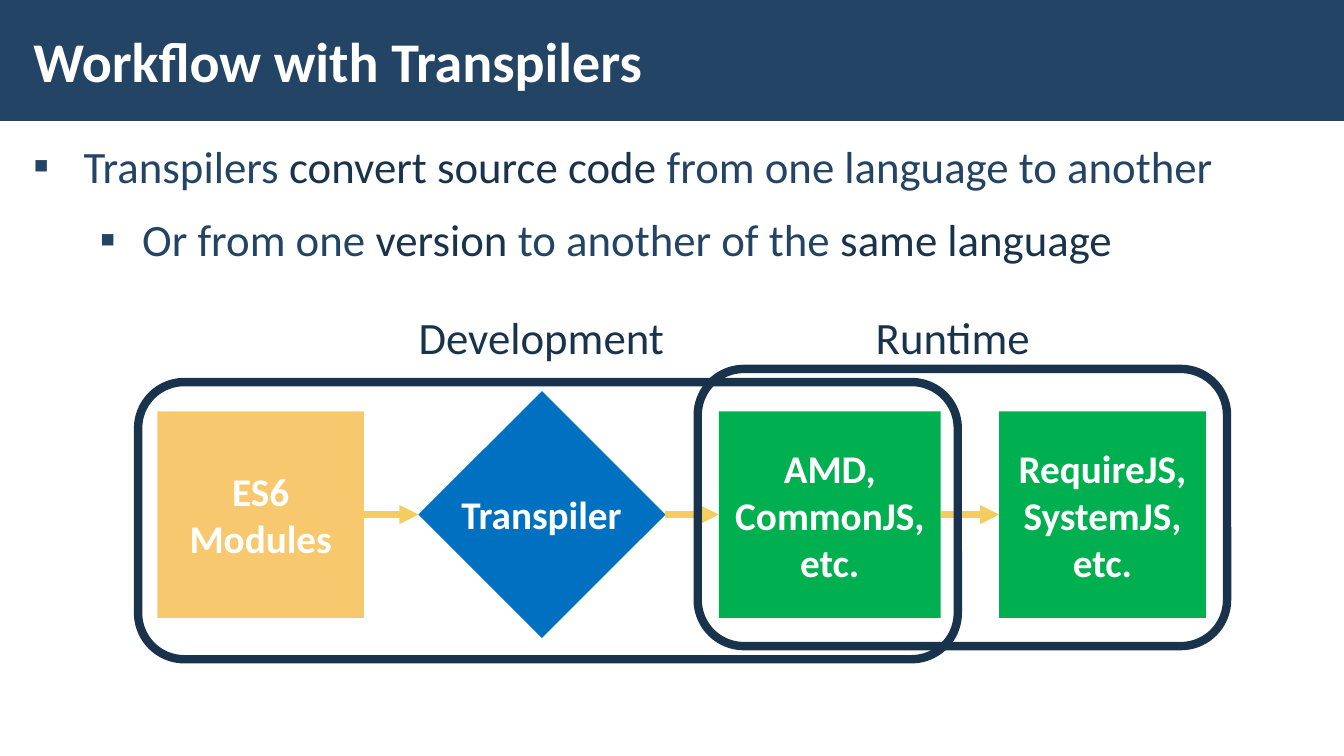
"""Build the slide on the workflow with transpilers."""
from lxml import etree
from pptx import Presentation
from pptx.dml.color import RGBColor
from pptx.enum.shapes import MSO_CONNECTOR, MSO_SHAPE
from pptx.enum.text import MSO_ANCHOR, PP_ALIGN
from pptx.oxml.ns import qn
from pptx.util import Inches, Pt

RECT, DIAMOND, ROUND = MSO_SHAPE.RECTANGLE, MSO_SHAPE.DIAMOND, MSO_SHAPE.ROUNDED_RECTANGLE
STRAIGHT = MSO_CONNECTOR.STRAIGHT
MIDDLE, TOP = MSO_ANCHOR.MIDDLE, MSO_ANCHOR.TOP
LEFT, CENTER = PP_ALIGN.LEFT, PP_ALIGN.CENTER
NAVY = RGBColor(0x23, 0x44, 0x65)
DARK = RGBColor(0x1A, 0x33, 0x4C)
WHITE = RGBColor(0xFF, 0xFF, 0xFF)
SAND = RGBColor(0xF7, 0xC8, 0x6D)
GREEN = RGBColor(0x00, 0xB0, 0x50)
BLUE = RGBColor(0x00, 0x70, 0xC0)
GOLD = RGBColor(0xF3, 0xCD, 0x60)


def write(frame, lines, size=28, bold=True, align=CENTER, anchor=MIDDLE, side=0.1, edge=0.05):
    """Fill a frame with lines, each a list of (text, colour) runs."""
    frame.word_wrap = True
    frame.vertical_anchor = anchor
    frame.margin_left = frame.margin_right = Inches(side)
    frame.margin_top = frame.margin_bottom = Inches(edge)
    for i, runs in enumerate(lines):
        para = frame.paragraphs[0] if i == 0 else frame.add_paragraph()
        para.alignment = align
        for text, color in runs:
            run = para.add_run()
            run.text = text
            run.font.name = "Calibri"
            run.font.size = Pt(size)
            run.font.bold = bold
            run.font.color.rgb = color


def draw(kind, box, fill=None, line=None):
    """Add a shape with a plain fill or a thick outline."""
    shape = shapes.add_shape(kind, *map(Inches, box))
    shape.shadow.inherit = False
    if fill is None:
        shape.fill.background()
    else:
        shape.fill.solid()
        shape.fill.fore_color.rgb = fill
    if line is None:
        shape.line.fill.background()
    else:
        shape.line.color.rgb = line
        shape.line.width = Pt(6)
    return shape


deck = Presentation()
deck.slide_width, deck.slide_height = Inches(13.33), Inches(7.5)
slide = deck.slides.add_slide(deck.slide_layouts[5])
shapes = slide.shapes

banner = draw(RECT, (0, 0, 13.33, 1.2), NAVY)
shapes._spTree.insert(2, banner._element)

title = shapes.title
title.left, title.top, title.width, title.height = map(Inches, (0.21, 0.11, 10.39, 0.97))
write(title.text_frame, [[("Workflow with Transpilers", WHITE)]],
      size=40, align=LEFT, side=0.12, edge=0.04)

body = shapes.add_textbox(*map(Inches, (0.21, 1.31, 12.92, 5.69))).text_frame
points = [
    [("Transpilers ", NAVY), ("convert source code ", DARK),
     ("from one language to another", NAVY)],
    [("Or from one ", NAVY), ("version", DARK), (" to another of the ", NAVY),
     ("same language", DARK)],
]
write(body, points, size=32, bold=False, align=LEFT, anchor=TOP, side=0.12, edge=0.04)
for level, (para, margin, hang) in enumerate(zip(body.paragraphs, (0.5, 1.08), (0.5, 0.42))):
    para.level = level
    para.line_spacing = 1.05
    para.space_before = para.space_after = Pt(6)
    props = para._p.get_or_add_pPr()
    props.set("marL", str(Inches(margin)))
    props.set("indent", str(-Inches(hang)))
    etree.SubElement(props, qn("a:buFont")).set("typeface", "Calibri")
    etree.SubElement(props, qn("a:buChar")).set("char", "▪")

steps = [
    (RECT, (1.56, 4.08, 2.05, 2.05), SAND, ["ES6", "Modules"]),
    (DIAMOND, (4.15, 3.88, 2.45, 2.45), BLUE, []),
    (RECT, (7.13, 4.08, 2.2, 2.05), GREEN, ["AMD, CommonJS, etc."]),
    (RECT, (9.91, 4.08, 2.05, 2.05), GREEN, ["RequireJS, SystemJS, etc."]),
]
nodes = []
for kind, box, fill, lines in steps:
    node = draw(kind, box, fill)
    write(node.text_frame, [[(text, WHITE)] for text in lines])
    nodes.append(node)

labels = [
    ("Transpiler", (4.41, 4.82, 1.92, 0.57), WHITE, 28, True),
    ("Development", (3.91, 3.02, 2.92, 0.64), DARK, 32, False),
    ("Runtime", (7.99, 3.02, 2.92, 0.64), DARK, 32, False),
]
for text, box, color, size, bold in labels:
    label = shapes.add_textbox(*map(Inches, box))
    write(label.text_frame, [[(text, color)]], size=size, bold=bold, anchor=TOP)

for start, end in zip(nodes, nodes[1:]):
    arrow = shapes.add_connector(STRAIGHT, 0, 0, 0, 0)
    arrow.begin_connect(start, 3)
    arrow.end_connect(end, 1)
    arrow.line.color.rgb = GOLD
    arrow.line.width = Pt(4.5)
    etree.SubElement(arrow.line._get_or_add_ln(), qn("a:tailEnd")).set("type", "triangle")
    etree.SubElement(arrow._element.spPr, qn("a:effectLst"))

for box in ((1.37, 3.79, 8.13, 2.75), (6.92, 3.66, 5.25, 2.75)):
    draw(ROUND, box, line=DARK)

deck.save("out.pptx")
